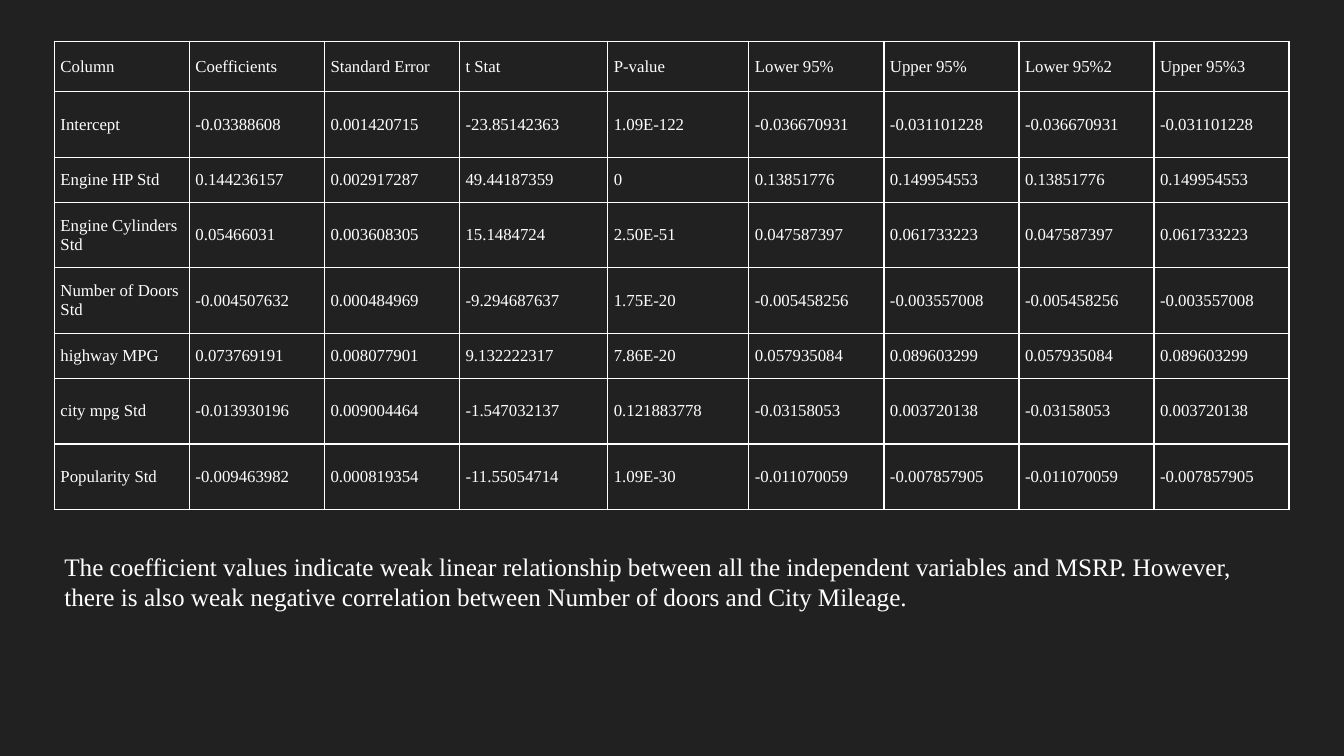
from lxml import etree
from pptx import Presentation
from pptx import util as u
from pptx.dml.color import RGBColor
from pptx.enum import text
from pptx.oxml.ns import qn

deck = Presentation()
deck.slide_width = u.Inches(13.33)
deck.slide_height = u.Inches(7.5)
col = deck.slide_width / 100
row = deck.slide_height / 100
ink = "FFFFFF"


def paint(fill, tone):
    fill.solid()
    fill.fore_color.rgb = RGBColor.from_string(tone)


def style(para, size):
    para.font.name = "Times New Roman"
    para.font.size = u.Pt(size)
    paint(para.font.fill, ink)


slide = deck.slides.add_slide(deck.slide_layouts[6])
paint(slide.background.fill, "212121")

head = ["Column", "Coefficients", "Standard Error", "t Stat", "P-value",
        "Lower 95%", "Upper 95%", "Lower 95%2", "Upper 95%3"]
stats = [
    ["Intercept", "-0.03388608", "0.001420715", "-23.85142363",
     "1.09E-122", "-0.036670931", "-0.031101228"],
    ["Engine HP Std", "0.144236157", "0.002917287", "49.44187359",
     "0", "0.13851776", "0.149954553"],
    ["Engine Cylinders Std", "0.05466031", "0.003608305", "15.1484724",
     "2.50E-51", "0.047587397", "0.061733223"],
    ["Number of Doors Std", "-0.004507632", "0.000484969", "-9.294687637",
     "1.75E-20", "-0.005458256", "-0.003557008"],
    ["highway MPG", "0.073769191", "0.008077901", "9.132222317",
     "7.86E-20", "0.057935084", "0.089603299"],
    ["city mpg Std", "-0.013930196", "0.009004464", "-1.547032137",
     "0.121883778", "-0.03158053", "0.003720138"],
    ["Popularity Std", "-0.009463982", "0.000819354", "-11.55054714",
     "1.09E-30", "-0.011070059", "-0.007857905"],
]
cells = [head] + [line + line[-2:] for line in stats]
wide = [10.05] * 3 + [11.03, 10.5] + [10.05] * 4
short, tall = 6.02, 8.64
high = [6.7, tall, short, tall, tall, short, tall, tall]

left, width = int(4.05 * col), int(sum(wide) * col)
frame = slide.shapes.add_table(len(high), len(wide), left, int(5.45 * row),
                               width, int(sum(high) * row))
table = frame.table
table.first_row = table.horz_banding = False
for part, size in zip(table.columns, wide):
    part.width = int(size * col)
for part, size in zip(table.rows, high):
    part.height = int(size * row)

for r, line in enumerate(cells):
    for c, word in enumerate(line):
        cell = table.cell(r, c)
        cell.text = word
        cell.vertical_anchor = text.MSO_ANCHOR.MIDDLE
        cell.margin_left = cell.margin_right = u.Inches(0.06)
        cell.margin_top = cell.margin_bottom = u.Inches(0.03)
        style(cell.text_frame.paragraphs[0], 12)
        props = cell._tc.get_or_add_tcPr()
        for side in ("a:lnL", "a:lnR", "a:lnT", "a:lnB"):
            edge = etree.SubElement(props, qn(side), w=str(u.Pt(1)))
            solid = etree.SubElement(edge, qn("a:solidFill"))
            etree.SubElement(solid, qn("a:srgbClr"), val=ink)
        cell.fill.background()

note = slide.shapes.add_textbox(left, int(72.27 * row), width, int(9.47 * row))
body = note.text_frame
body.word_wrap = True
body.auto_size = text.MSO_AUTO_SIZE.SHAPE_TO_FIT_TEXT
body.text = ("The coefficient values indicate weak linear relationship between "
             "all the independent variables and MSRP. However, there is also "
             "weak negative correlation between Number of doors and City Mileage.")
style(body.paragraphs[0], 18)

deck.save("out.pptx")
